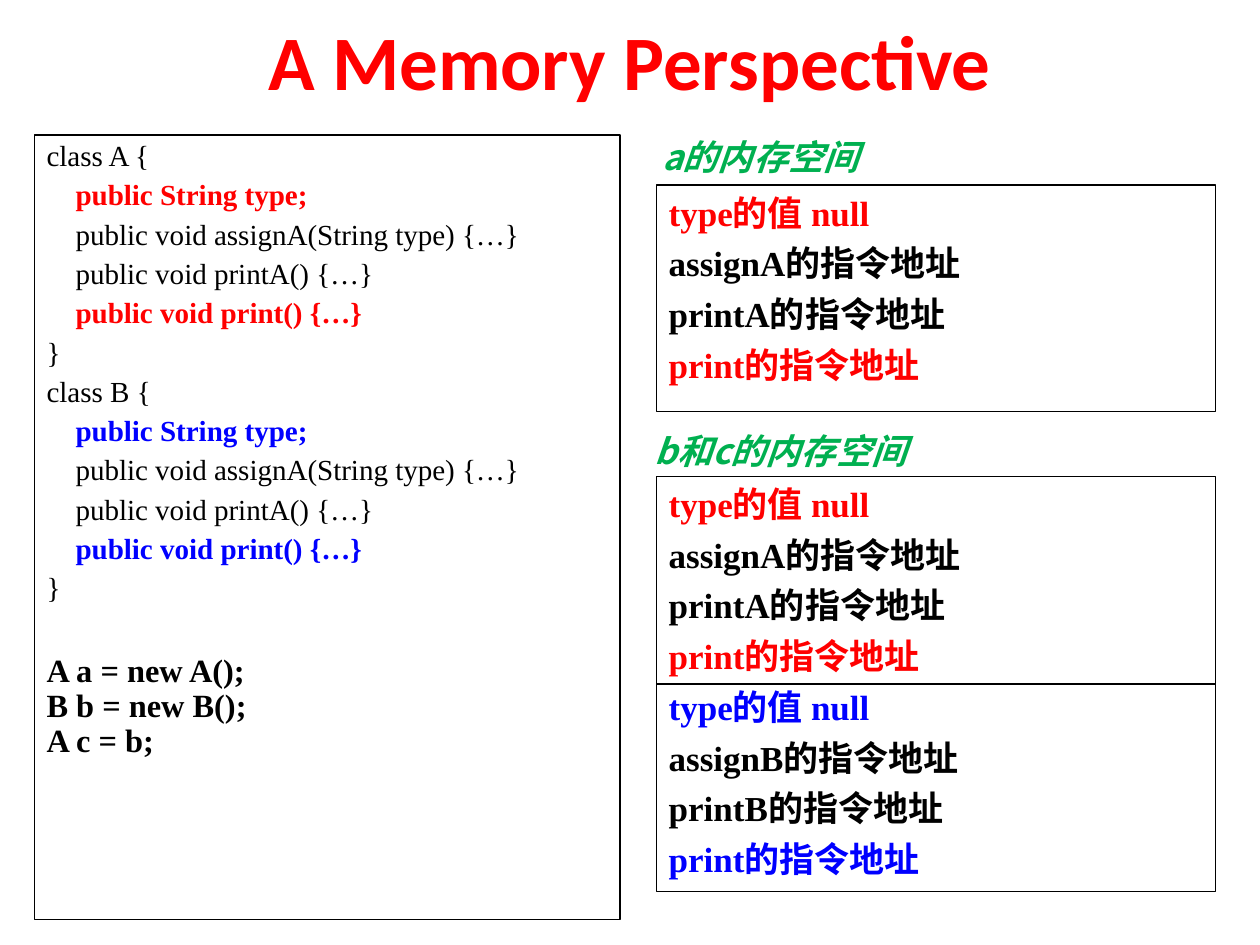
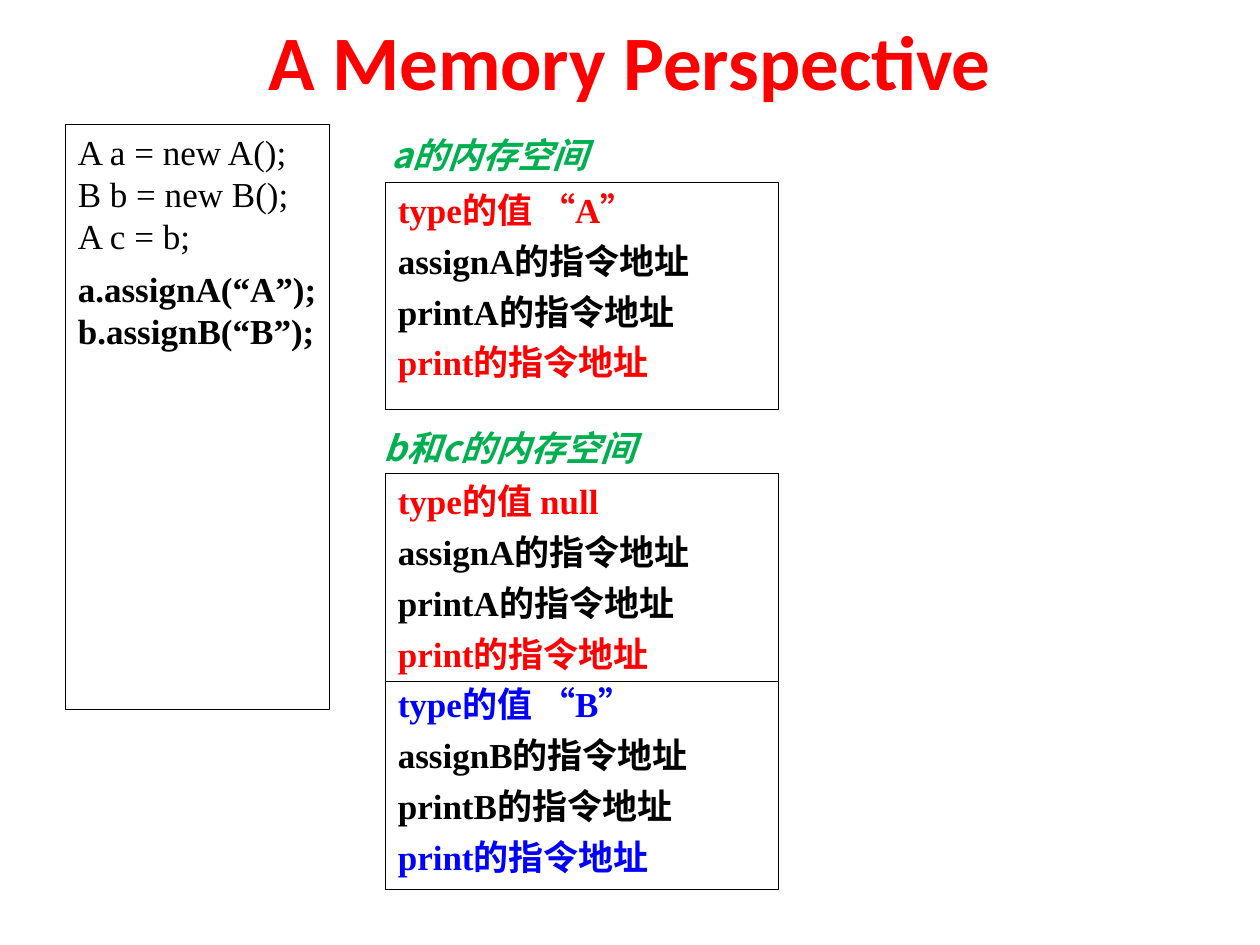
from lxml import etree
from pptx import Presentation
from pptx.dml.color import RGBColor
from pptx.enum.shapes import MSO_CONNECTOR, MSO_SHAPE
from pptx.enum.text import MSO_ANCHOR, PP_ALIGN
from pptx.oxml.ns import qn
from pptx.util import Cm, Pt

RED = RGBColor(0xFF, 0x00, 0x00)
BLUE = RGBColor(0x00, 0x00, 0xFF)
GREEN = RGBColor(0x00, 0xB0, 0x50)
BLACK = RGBColor(0x00, 0x00, 0x00)
SERIF = "Times New Roman"
CJK = "Noto Sans CJK SC"
LINE_HEIGHT = 1.2

TITLE = "A Memory Perspective"
LABEL_A = "a的内存空间"
LABEL_BC = "b和c的内存空间"


def class_code(name, accent):
    member = dict(color=accent, bold=True)
    return [
        (f"class {name} {{", {}),
        ("    public String type;", member),
        ("    public void assignA(String type) {…}", {}),
        ("    public void printA() {…}", {}),
        ("    public void print() {…}", member),
        ("}", {}),
    ]


def memory(name, value, accent):
    return [
        (f"type的值 {value}", dict(color=accent)),
        (f"assign{name}的指令地址", {}),
        (f"print{name}的指令地址", {}),
        ("print的指令地址", dict(color=accent)),
    ]


CREATION = ["A a = new A();", "B b = new B();", "A c = b;"]
CREATION_FORMAT = dict(size=18.5, bold=True, before=0)
CALLS = ["a.assignA(“A”);", "b.assignB(“B”);"]

SLIDES = [
    dict(
        code=class_code("A", RED) + class_code("B", BLUE)
        + [(CREATION[0], CREATION_FORMAT | dict(before=28.4))]
        + [(line, CREATION_FORMAT) for line in CREATION[1:]],
        code_box=(0.69, 2.72, 11.81, 15.82),
        code_format=dict(size=16.6, before=4.5, spacing=0.9),
        memory_place=(13.23, 3.73, 11.28),
        value_a="null", value_b="null",
    ),
    dict(
        code=[(line, {}) for line in CREATION]
        + [(CALLS[0], dict(bold=True, before=6)), (CALLS[1], dict(bold=True))],
        code_box=(1.32, 2.51, 5.33, 11.79),
        code_format=dict(size=20),
        memory_place=(7.77, 3.68, 7.92),
        value_a="“A”", value_b="“B”",
    ),
]


def write(frame, text, first=False, size=20, font=SERIF, color=BLACK, bold=False,
          italic=False, before=0, spacing=1, align=PP_ALIGN.LEFT):
    paragraph = frame.paragraphs[0] if first else frame.add_paragraph()
    paragraph.alignment = align
    paragraph.space_before = Pt(0 if first else before)
    paragraph.line_spacing = Pt(round(size * LINE_HEIGHT * spacing, 2))
    run = paragraph.add_run()
    run.text = text
    run.font.size = Pt(size)
    run.font.name = font
    run.font.bold = bold
    run.font.italic = italic
    run.font.color.rgb = color
    east_asian = etree.SubElement(run.font._element, qn("a:ea"))
    east_asian.set("typeface", CJK)


def add_lines(frame, lines, **shared):
    frame.word_wrap = True
    frame.margin_right = Cm(0.1)
    for index, (text, own) in enumerate(lines):
        write(frame, text, first=index == 0, **(shared | own))


def add_frame(slide, box, lines, **shared):
    frame = slide.shapes.add_shape(MSO_SHAPE.RECTANGLE, *map(Cm, box))
    frame.shadow.inherit = False
    frame.fill.background()
    frame.line.color.rgb = BLACK
    frame.line.width = Pt(0.75)
    frame.text_frame.vertical_anchor = MSO_ANCHOR.TOP
    add_lines(frame.text_frame, lines, **shared)


def add_label(slide, box, text, **style):
    label = slide.shapes.add_textbox(*map(Cm, box))
    add_lines(label.text_frame, [(text, style)])
    return label


def add_divider(slide, left, top, width):
    divider = slide.shapes.add_connector(
        MSO_CONNECTOR.STRAIGHT, Cm(left), Cm(top), Cm(left + width), Cm(top))
    divider.line.color.rgb = BLACK
    divider.line.width = Pt(0.75)
    etree.SubElement(divider._element.spPr, qn("a:effectLst"))


def add_memory(slide, place, value_a, value_b):
    left, top, width = place
    entry = dict(bold=True, before=5)
    caption = dict(font=CJK, color=GREEN, bold=True, italic=True)
    object_a = memory("A", value_a, RED)
    object_b = memory("A", "null", RED) + memory("B", value_b, BLUE)
    add_frame(slide, (left, top, width, 4.57), object_a, **entry)
    add_frame(slide, (left, top + 5.87, width, 8.38), object_b, **entry)
    add_label(slide, (left - 0.13, top - 1.12, 8.08, 1.12), LABEL_A, **caption)
    add_label(slide, (left - 0.28, top + 4.8, 7.72, 1.12), LABEL_BC, **caption)
    add_divider(slide, left, top + 10.06, width)


def main():
    deck = Presentation()
    deck.slide_width, deck.slide_height = Cm(25.4), Cm(19.05)
    for content in SLIDES:
        slide = deck.slides.add_slide(deck.slide_layouts[6])
        title = add_label(slide, (1.27, 0.13, 22.86, 2.16), TITLE, size=44,
                          font="Calibri", color=RED, bold=True, align=PP_ALIGN.CENTER)
        title.text_frame.vertical_anchor = MSO_ANCHOR.MIDDLE
        title.text_frame.margin_left = title.text_frame.margin_right
        add_frame(slide, content["code_box"], content["code"], **content["code_format"])
        add_memory(slide, content["memory_place"], content["value_a"], content["value_b"])
    deck.save("out.pptx")


if __name__ == "__main__":
    main()
